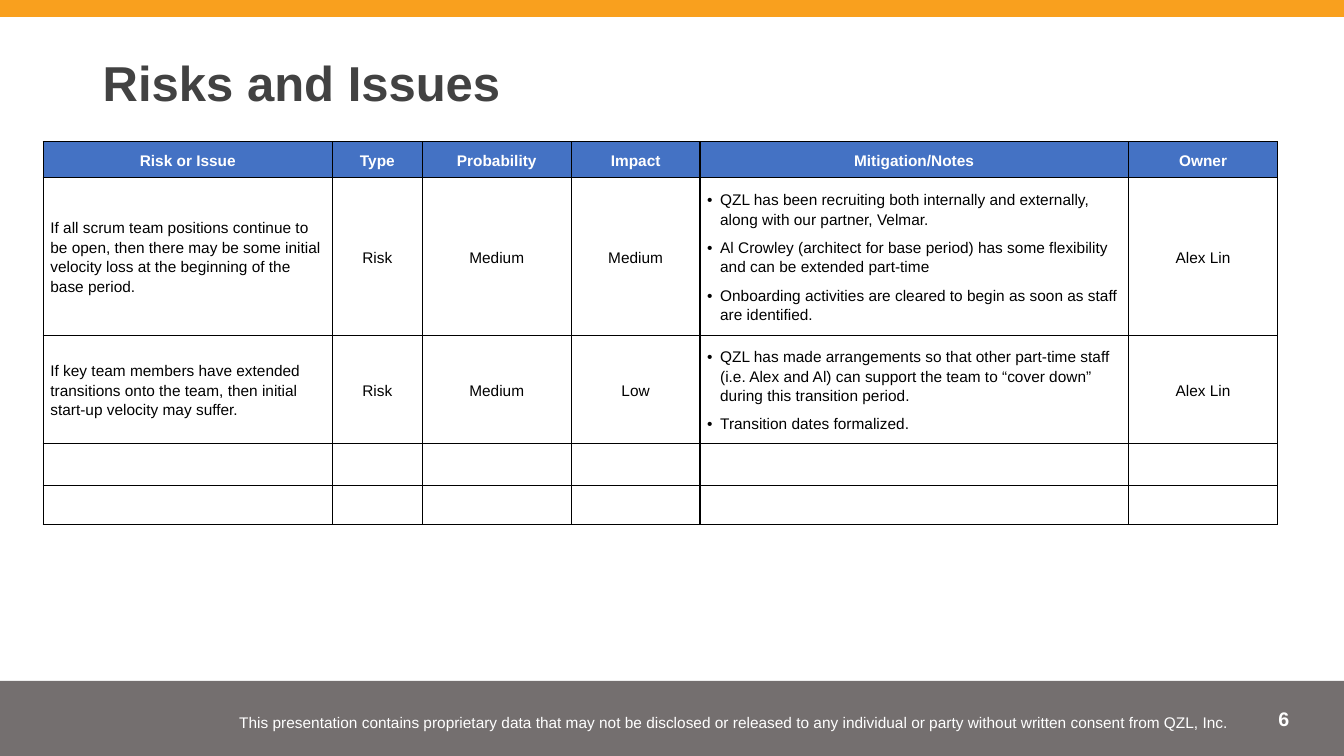
"""Build the Risks and Issues slide: a risk register table between a top band and a footer."""
from dataclasses import dataclass

from lxml.etree import SubElement
from pptx import Presentation
from pptx.dml.color import RGBColor
from pptx.enum.shapes import MSO_SHAPE
from pptx.enum.text import MSO_ANCHOR, PP_ALIGN
from pptx.oxml.ns import qn
from pptx.util import Cm, Pt


@dataclass(frozen=True)
class Theme:
    font: str = "Arial"
    white: str = "FFFFFF"
    black: str = "000000"
    band: str = "F9A01E"
    footer: str = "4F4949"
    footer_alpha: str = "79000"
    heading: str = "424242"
    header: str = "4472C4"
    title_size: int = 35
    number_size: int = 14
    body_size: int = 11


theme = Theme()


def write(frame, lines, size, color, bold=False, align=PP_ALIGN.LEFT, spacing=1.15, bullets=False):
    """Fill a text frame with one paragraph per line."""
    for index, line in enumerate(lines):
        paragraph = frame.add_paragraph() if index else frame.paragraphs[0]
        paragraph.text = line
        paragraph.alignment = align
        paragraph.line_spacing = spacing
        if bullets:
            paragraph.space_after = Pt(6)
            properties = paragraph._p.get_or_add_pPr()
            properties.set("marL", str(Cm(0.33)))
            properties.set("indent", str(-Cm(0.33)))
            bullet_color = SubElement(properties, qn("a:buClr"))
            SubElement(bullet_color, qn("a:srgbClr"), val=color)
            SubElement(properties, qn("a:buFont"), typeface=theme.font)
            SubElement(properties, qn("a:buChar"), char="•")
        paragraph.font.name = theme.font
        paragraph.font.size = Pt(size)
        paragraph.font.bold = bold
        paragraph.font.color.rgb = RGBColor.from_string(color)


def add_text(slide, box, text, anchor, inset, **style):
    """Place a wrapped text box given as left, top, width, height in centimetres."""
    frame = slide.shapes.add_textbox(*map(Cm, box)).text_frame
    frame.word_wrap = True
    frame.vertical_anchor = anchor
    frame.margin_left = frame.margin_right = Cm(0.25)
    frame.margin_top = frame.margin_bottom = Cm(inset)
    write(frame, [text], **style)


prs = Presentation()
prs.slide_width, prs.slide_height = Cm(33.87), Cm(19.05)
slide = prs.slides.add_slide(prs.slide_layouts[6])

for top, height, color, alpha in [
    (17.16, 1.89, theme.footer, theme.footer_alpha),
    (0, 0.43, theme.band, None),
]:
    band = slide.shapes.add_shape(MSO_SHAPE.RECTANGLE, 0, Cm(top), prs.slide_width, Cm(height))
    band.shadow.inherit = False
    band.line.fill.background()
    band.fill.solid()
    band.fill.fore_color.rgb = RGBColor.from_string(color)
    if alpha:
        fill_color = band._element.spPr.find(qn("a:solidFill")).find(qn("a:srgbClr"))
        SubElement(fill_color, qn("a:alpha"), val=alpha)

add_text(slide, (30, 17.68, 2.74, 1.02), "6", MSO_ANCHOR.TOP, 0.13,
         size=theme.number_size, color=theme.white, bold=True, align=PP_ALIGN.RIGHT, spacing=1.0)
add_text(slide, (5.77, 17.5, 25.48, 1.35),
         "This presentation contains proprietary data that may not be disclosed or released to any "
         "individual or party without written consent from QZL, Inc.",
         MSO_ANCHOR.MIDDLE, 0.25, size=theme.body_size, color=theme.white, align=PP_ALIGN.CENTER)
add_text(slide, (2.34, 1.17, 29.21, 1.96), "Risks and Issues", MSO_ANCHOR.MIDDLE, 0.25,
         size=theme.title_size, color=theme.heading, bold=True, spacing=0.9)

headings = ["Risk or Issue", "Type", "Probability", "Impact", "Mitigation/Notes", "Owner"]
RISK, MITIGATION = headings.index("Risk or Issue"), headings.index("Mitigation/Notes")
risks = [
    ["If all scrum team positions continue to be open, then there may be some initial velocity "
     "loss at the beginning of the base period.",
     "Risk", "Medium", "Medium",
     ["QZL has been recruiting both internally and externally, along with our partner, Velmar.",
      "Al Crowley (architect for base period) has some flexibility and can be extended part-time",
      "Onboarding activities are cleared to begin as soon as staff are identified."],
     "Alex Lin"],
    ["If key team members have extended transitions onto the team, then initial start-up velocity "
     "may suffer.",
     "Risk", "Medium", "Low",
     ["QZL has made arrangements so that other part-time staff (i.e. Alex and Al) can support the "
      "team to “cover down” during this transition period.",
      "Transition dates formalized."],
     "Alex Lin"],
]
blank_rows = [[""] * len(headings) for _ in range(2)]
register_rows = [headings, *risks, *blank_rows]
column_widths = [7.29, 2.26, 3.76, 3.24, 10.8, 3.76]
row_heights = [0.86, 3.76, 2.54, 1.07, 0.97]

register = slide.shapes.add_table(
    len(register_rows), len(headings), Cm(1.09), Cm(3.57),
    Cm(sum(column_widths)), Cm(sum(row_heights))).table
register.first_row = register.horz_banding = False
for column, width in zip(register.columns, column_widths):
    column.width = Cm(width)

for row_index, (entries, height) in enumerate(zip(register_rows, row_heights)):
    register.rows[row_index].height = Cm(height)
    is_header = row_index == 0
    for column_index, entry in enumerate(entries):
        cell = register.cell(row_index, column_index)
        cell.vertical_anchor = MSO_ANCHOR.MIDDLE
        cell.margin_left = cell.margin_right = cell.margin_top = cell.margin_bottom = Cm(0.18)
        for side in ("a:lnL", "a:lnR", "a:lnT", "a:lnB"):
            border = SubElement(cell._tc.get_or_add_tcPr(), qn(side), w=str(Pt(1)))
            SubElement(SubElement(border, qn("a:solidFill")), qn("a:srgbClr"), val=theme.black)
        if is_header:
            cell.fill.solid()
            cell.fill.fore_color.rgb = RGBColor.from_string(theme.header)
        else:
            cell.fill.background()
        left_aligned = not is_header and column_index in (RISK, MITIGATION)
        has_bullets = isinstance(entry, list)
        write(cell.text_frame, entry if has_bullets else [entry], theme.body_size,
              theme.white if is_header else theme.black, bold=is_header,
              align=PP_ALIGN.LEFT if left_aligned else PP_ALIGN.CENTER, bullets=has_bullets)

prs.save("out.pptx")
